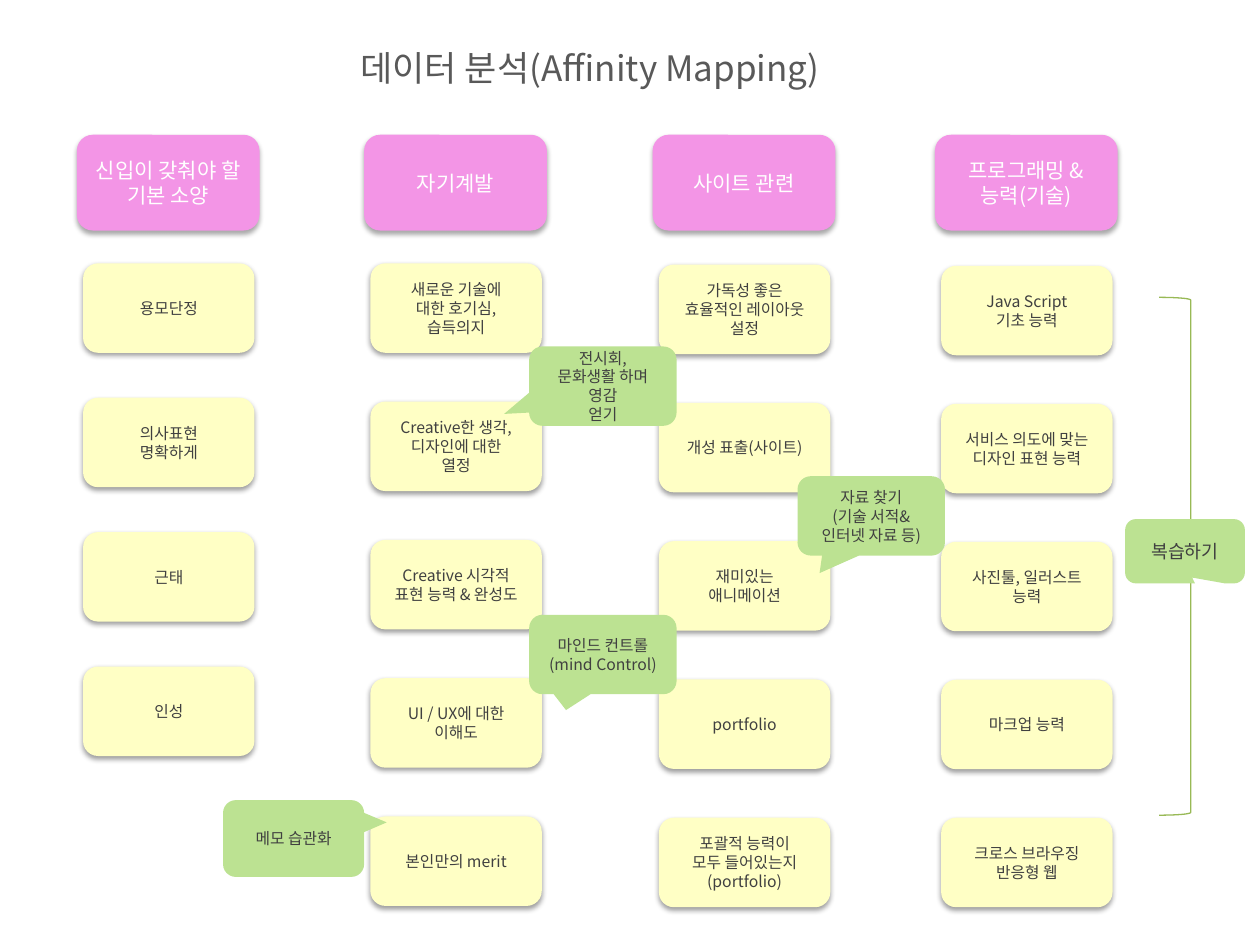
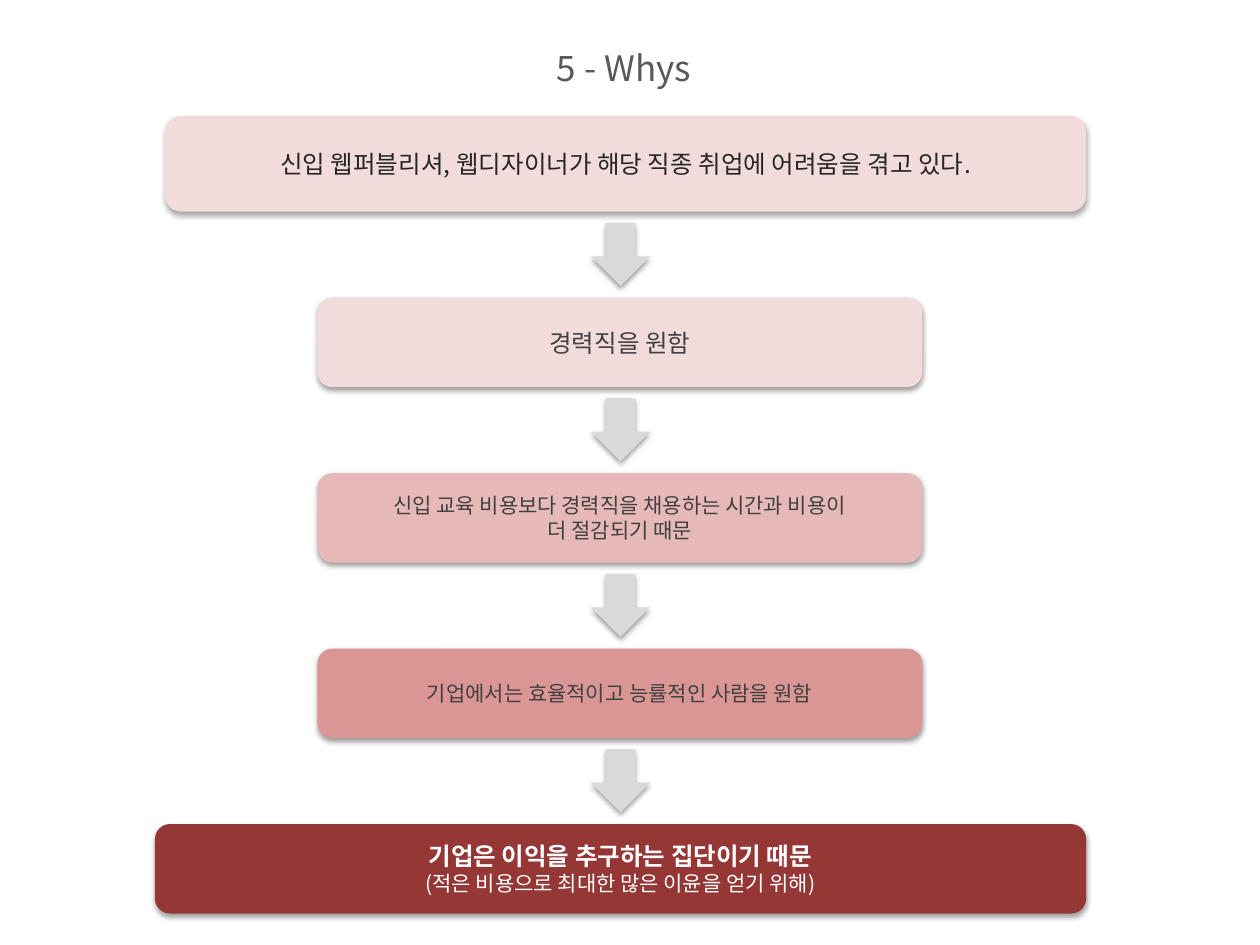
from lxml import etree
from pptx import Presentation
from pptx import util as u
from pptx.dml.color import RGBColor
from pptx.enum import shapes, text
from pptx.oxml import ns

FONT = "Noto Sans CJK KR"
COLORS = {
    "title": "595959", "ink": "404040", "dark": "262626", "white": "FFFFFF",
    "header": "F395E6", "note": "FFFFC5", "callout": "BCE292", "bracket": "98B955",
    "why1": "F2DCDB", "why2": "E6B9B8", "why3": "D99694", "root": "953735",
    "arrow": "D9D9D9",
}
KIND = shapes.MSO_SHAPE
ROUND = KIND.ROUNDED_RECTANGLE
CALLOUT = KIND.ROUNDED_RECTANGULAR_CALLOUT

HEADER_SIZE = (1.45, 0.76)
NOTE_SIZE = (1.36, 0.71)
NOTE_INDENT = 0.05
ARROW_SIZE = (0.47, 0.5)
ARROW_GAP = 0.09
HEADER_SHADOW = (35, 1.8)  # opacity in percent, distance in points
NOTE_SHADOW = (38, 1.6)

# Column box, top of the last note, heading lines, notes
COLUMNS = [
    ((0.61, 1.07), 2.09, 5.29, "신입이 갖춰야 할 기본 소양",
     ["용모단정", "의사표현\n명확하게", "근태", "인성"]),
    ((2.89, 1.07), 2.09, 6.48, "자기계발",
     ["새로운 기술에\n대한 호기심,\n습득의지",
      "Creative한 생각,\n디자인에 대한\n열정",
      "Creative 시각적 표현 능력 & 완성도",
      "UI / UX에 대한\n이해도", "본인만의 merit"]),
    ((5.18, 1.07), 2.1, 6.49, "사이트 관련",
     ["가독성 좋은\n효율적인 레이아웃\n설정", "개성 표출(사이트)",
      "재미있는\n애니메이션", "portfolio",
      "포괄적 능력이\n모두 들어있는지(portfolio)"]),
    ((7.42, 1.07), 2.11, 6.49, "프로그래밍 &\n능력(기술)",
     ["Java Script\n기초 능력", "서비스 의도에 맞는\n디자인 표현 능력",
      "사진툴, 일러스트\n능력", "마크업 능력", "크로스 브라우징\n반응형 웹"]),
]

# Box, tail tip, text
IDEAS = [
    ((4.2, 2.75, 1.17, 0.63), (-0.67, 0.35), "전시회,\n문화생활 하며 영감\n얻기"),
    ((1.77, 6.35, 1.12, 0.61), (0.66, -0.21), "메모 습관화"),
    ((4.2, 4.88, 1.17, 0.63), (-0.25, 0.7), "마인드 컨트롤\n(mind Control)"),
    ((6.33, 3.78, 1.17, 0.63), (-0.35, 0.72), "자료 찾기\n(기술 서적&인터넷 자료 등)"),
]

# Indent, width, height, fill, shadow, text, format of each line
WHYS = [
    (0.08, 7.31, 0.76, "why1", HEADER_SHADOW,
     "신입 웹퍼블리셔, 웹디자이너가 해당 직종 취업에 어려움을 겪고 있다.",
     [dict(size=14, color="dark")]),
    (1.29, 4.8, 0.71, "why1", NOTE_SHADOW, "경력직을 원함", [dict(size=14)]),
    (1.29, 4.8, 0.71, "why2", NOTE_SHADOW,
     "신입 교육 비용보다 경력직을 채용하는 시간과 비용이\n더 절감되기 때문",
     [dict(size=12)] * 2),
    (1.29, 4.8, 0.71, "why3", NOTE_SHADOW,
     "기업에서는 효율적이고 능률적인 사람을 원함", [dict(size=12)]),
    (0, 7.39, 0.71, "root", NOTE_SHADOW,
     "기업은 이익을 추구하는 집단이기 때문\n(적은 비용으로 최대한 많은 이윤을 얻기 위해)",
     [dict(size=14, color="white", bold=True), dict(size=12, color="white")]),
]


def rgb(name):
    return RGBColor.from_string(COLORS[name])


def write_line(paragraph, words, size=9, color="ink", bold=False,
               align=text.PP_ALIGN.CENTER):
    """Write one line with its format, for Latin and Korean letters alike."""
    paragraph.alignment = align
    run = paragraph.add_run()
    run.text = words
    run.font.size = u.Pt(size)
    run.font.bold = bold
    run.font.color.rgb = rgb(color)
    run.font.name = FONT
    korean = etree.SubElement(run.font._element, ns.qn("a:ea"))
    korean.set("typeface", FONT)


def write(frame, words, line_formats=None, **format):
    """Write lines into a frame, all in one format or each in its own."""
    lines = words.split("\n")
    for i, line in enumerate(lines):
        paragraph = frame.add_paragraph() if i else frame.paragraphs[0]
        write_line(paragraph, line, **(line_formats[i] if line_formats else format))


def cast_shadow(shape, opacity, distance):
    effects = shape._element.spPr.find(ns.qn("a:effectLst"))
    shadow = etree.SubElement(effects, ns.qn("a:outerShdw"), {
        "blurRad": str(u.Pt(3.1)), "dist": str(u.Pt(distance)),
        "dir": "5400000", "rotWithShape": "0"})
    black = etree.SubElement(shadow, ns.qn("a:srgbClr"), val="000000")
    etree.SubElement(black, ns.qn("a:alpha"), val=str(opacity * 1000))


def add_card(slide, kind, box, fill, words="", shadow=None, **format):
    """Add a filled shape without outline, with centred text."""
    card = slide.shapes.add_shape(kind, *map(u.Inches, box))
    card.shadow.inherit = False
    card.fill.solid()
    card.fill.fore_color.rgb = rgb(fill)
    card.line.fill.background()
    if shadow:
        cast_shadow(card, *shadow)
    if words:
        card.text_frame.vertical_anchor = text.MSO_ANCHOR.MIDDLE
        write(card.text_frame, words, **format)
    return card


def add_titled_slide(deck, words, box):
    slide = deck.slides.add_slide(deck.slide_layouts[5])
    title = slide.shapes.title
    title.left, title.top, title.width, title.height = map(u.Inches, box)
    frame = title.text_frame
    frame.word_wrap = False
    frame.auto_size = text.MSO_AUTO_SIZE.NONE
    frame.vertical_anchor = text.MSO_ANCHOR.TOP
    write(frame, words, size=20, color="title", align=text.PP_ALIGN.LEFT)
    return slide


def add_column(slide, corner, first_top, last_top, heading, notes):
    """A heading with its notes spread evenly below."""
    left, top = corner
    add_card(slide, ROUND, (left, top, *HEADER_SIZE), "header", heading,
             HEADER_SHADOW, size=12, color="white")
    pitch = (last_top - first_top) / (len(notes) - 1)
    for i, note in enumerate(notes):
        add_card(slide, ROUND,
                 (left + NOTE_INDENT, first_top + i * pitch, *NOTE_SIZE),
                 "note", note, NOTE_SHADOW)


def add_callout(slide, box, tip, words, **format):
    callout = add_card(slide, CALLOUT, box, "callout", words, **format)
    callout.adjustments[0], callout.adjustments[1] = tip


def add_review(slide, box):
    """A bracket over the last column, with its callout."""
    left, top, width, height = box
    bracket = slide.shapes.add_shape(KIND.RIGHT_BRACKET, *map(u.Inches, box))
    bracket.shadow.inherit = False
    bracket.fill.background()
    bracket.line.color.rgb = rgb("bracket")
    bracket.line.width = u.Pt(0.75)
    add_callout(slide, (left - 0.27, top + 1.76, 0.95, 0.51), (0.06, 0.41),
                "복습하기", size=10.5)


def add_why_chain(slide, box):
    """Cards from problem to root cause, with an arrow between each pair."""
    left, top, width, height = box
    first_bottom = top + WHYS[0][2]
    pitch = (top + height - first_bottom) / (len(WHYS) - 1)
    for i, (indent, card_width, card_height, fill, shadow, words, formats) in enumerate(WHYS):
        bottom = first_bottom + i * pitch
        add_card(slide, ROUND,
                 (left + indent, bottom - card_height, card_width, card_height),
                 fill, words, shadow, line_formats=formats)
        if i < len(WHYS) - 1:
            arrow_left = left + (width - ARROW_SIZE[0]) / 2
            add_card(slide, KIND.DOWN_ARROW,
                     (arrow_left, bottom + ARROW_GAP, *ARROW_SIZE),
                     "arrow", shadow=NOTE_SHADOW)


def main():
    deck = Presentation()
    deck.slide_width, deck.slide_height = u.Inches(10), u.Inches(7.5)

    # Affinity map
    affinity = add_titled_slide(deck, "데이터 분석(Affinity Mapping)",
                                (2.76, 0.32, 4.05, 0.44))
    for column in COLUMNS:
        add_column(affinity, *column)
    for idea in IDEAS:
        add_callout(affinity, *idea)
    add_review(affinity, (9.2, 2.36, 0.25, 4.11))

    # Five whys
    whys = add_titled_slide(deck, "5 - Whys", (4.32, 0.32, 1.29, 0.44))
    add_why_chain(whys, (1.23, 0.92, 7.39, 6.33))

    deck.save("out.pptx")


if __name__ == "__main__":
    main()
